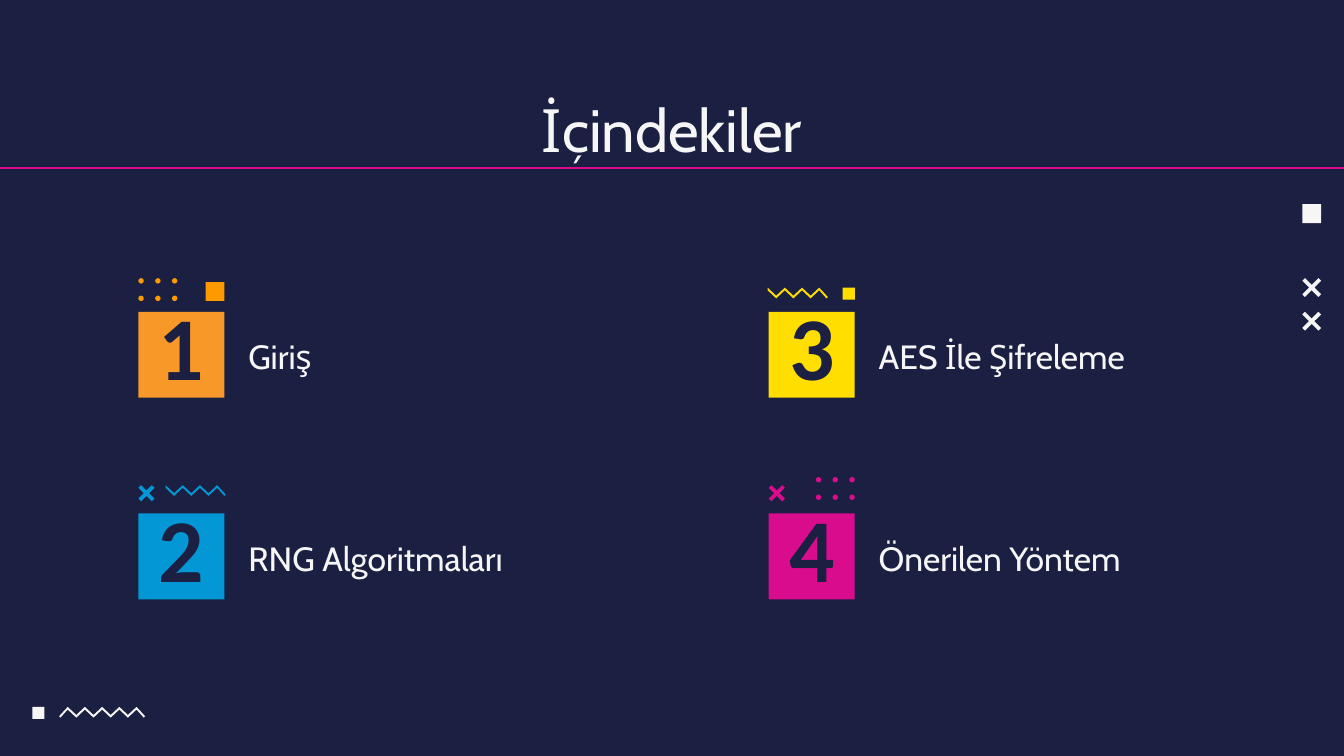
"""Build the contents slide with four numbered topics."""
from itertools import product

from lxml import etree
from pptx import Presentation
from pptx import util as u
from pptx.dml.color import RGBColor
from pptx.enum import shapes, text
from pptx.oxml import ns

NAVY = RGBColor(0x1B, 0x1F, 0x42)
WHITE = RGBColor(0xF6, 0xF6, 0xF6)
PINK = RGBColor(0xD8, 0x0C, 0x8C)
YELLOW = RGBColor(0xFF, 0xDE, 0x00)
BLUE = RGBColor(0x03, 0x97, 0xD6)
ORANGE = RGBColor(0xF8, 0x98, 0x29)
AMBER = RGBColor(0xFF, 0x99, 0x00)

TITLE = "İçindekiler"
TOPICS = [
    ("1", "Giriş", ORANGE),
    ("2", "RNG Algoritmaları", BLUE),
    ("3", "AES İle Şifreleme", YELLOW),
    ("4", "Önerilen Yöntem", PINK),
]
COLUMNS = (1.03, 5.72)
ROWS = (2.32, 3.82)
TILE = 0.64
LABEL_OFFSET = (0.72, 0.14)
LABEL_SIZE = (2.53, 0.41)

SQUARES = [
    (9.69, 1.52, 0.14, WHITE),
    (0.24, 5.26, 0.09, WHITE),
    (6.27, 2.14, 0.09, YELLOW),
    (1.53, 2.1, 0.14, AMBER),
]
CROSSES = [
    (9.69, 2.07, 0.14, WHITE),
    (9.69, 2.32, 0.14, WHITE),
    (5.72, 3.61, 0.12, PINK),
    (1.03, 3.61, 0.12, BLUE),
]
ZIGZAGS = [
    (0.44, 5.26, 0, WHITE),
    (5.52, 2.14, 3, YELLOW),
    (1.04, 3.61, 3, BLUE),
]
DOT_GRIDS = [(1.03, 2.07, AMBER), (6.07, 3.55, PINK)]

TITLE_FONT = {"name": "Cabin", "size": u.Pt(32), "bold": False}
LABEL_FONT = {"name": "Cabin", "size": u.Pt(18), "bold": False}
NUMBER_FONT = {"name": "Calibri", "size": u.Pt(48), "bold": True}
CENTRED = {"alignment": text.PP_ALIGN.CENTER}
LABEL_PARA = {"alignment": text.PP_ALIGN.LEFT, "line_spacing": 0.8, "space_after": u.Pt(16)}
NUMBER_PARA = {**CENTRED, "line_spacing": 0.8}


def paint(shape, color):
    shape.shadow.inherit = False
    shape.fill.solid()
    shape.fill.fore_color.rgb = color
    shape.line.fill.background()
    return shape


def add_preset(page, kind, left, top, size, color):
    frame = [u.Inches(value) for value in (left, top, size, size)]
    return paint(page.shapes.add_shape(kind, *frame), color)


def add_outline(page, left, top, points, color):
    corners = [(u.Inches(left + x), u.Inches(top + y)) for x, y in points]
    builder = page.shapes.build_freeform(*corners[0], scale=1.0)
    builder.add_line_segments(corners[1:], close=True)
    return paint(builder.convert_to_shape(), color)


def add_cross(page, left, top, size, color, arm=0.02):
    middle = size / 2
    points = [
        (arm, 0), (middle, middle - arm), (size - arm, 0), (size, arm),
        (middle + arm, middle), (size, size - arm), (size - arm, size),
        (middle, middle + arm), (arm, size), (0, size - arm),
        (middle - arm, middle), (0, arm),
    ]
    return add_outline(page, left, top, points, color)


def add_zigzag(page, left, top, first, color):
    last = 10
    step = 0.64 / last
    inner = range(max(first, 1), last)
    upper = [(i * step, 0 if i % 2 else 0.06) for i in inner]
    lower = [(i * step, 0.02 if i % 2 else 0.08) for i in reversed(inner)]
    right_end = [(last * step, 0.07), (last * step - 0.01, 0.08)]
    left_end = [] if first else [(0.01, 0.08), (0, 0.07)]
    return add_outline(page, left, top, upper + right_end + lower + left_end, color)


def write(box, words, font, para_format, color, anchor):
    frame = box.text_frame
    frame.word_wrap = True
    frame.vertical_anchor = anchor
    for side in ("left", "top", "right", "bottom"):
        setattr(frame, f"margin_{side}", u.Inches(0.1))
    para = frame.paragraphs[0]
    for name, value in para_format.items():
        setattr(para, name, value)
    span = para.add_run()
    span.text = words
    for name, value in font.items():
        setattr(span.font, name, value)
    span.font.color.rgb = color


def add_label(page, frame, words, font, para_format):
    box = page.shapes.add_textbox(*[u.Inches(value) for value in frame])
    write(box, words, font, para_format, WHITE, text.MSO_ANCHOR.TOP)


def main():
    deck = Presentation()
    deck.slide_width = u.Inches(10)
    deck.slide_height = deck.slide_width * 9 // 16
    page = deck.slides.add_slide(deck.slide_layouts[6])
    page.background.fill.solid()
    page.background.fill.fore_color.rgb = NAVY

    rule = page.shapes.add_connector(
        shapes.MSO_CONNECTOR.STRAIGHT, 0, u.Inches(1.25), deck.slide_width, u.Inches(1.25)
    )
    rule.line.color.rgb = PINK
    rule.line.width = u.Pt(1.5)
    etree.SubElement(rule.element.spPr, ns.qn("a:effectLst"))

    add_label(page, (0.78, 0.59, 8.44, 0.74), TITLE, TITLE_FONT, CENTRED)
    for (number, topic, color), (left, top) in zip(TOPICS, product(COLUMNS, ROWS)):
        tile = add_preset(page, shapes.MSO_SHAPE.RECTANGLE, left, top, TILE, color)
        write(tile, number, NUMBER_FONT, NUMBER_PARA, NAVY, text.MSO_ANCHOR.MIDDLE)
        frame = (left + LABEL_OFFSET[0], top + LABEL_OFFSET[1], *LABEL_SIZE)
        add_label(page, frame, topic, LABEL_FONT, LABEL_PARA)

    for square in SQUARES:
        add_preset(page, shapes.MSO_SHAPE.RECTANGLE, *square)
    for cross in CROSSES:
        add_cross(page, *cross)
    for zigzag in ZIGZAGS:
        add_zigzag(page, *zigzag)
    for left, top, color in DOT_GRIDS:
        for column, row in product(range(3), range(2)):
            x, y = left + column * 0.125, top + row * 0.13
            add_preset(page, shapes.MSO_SHAPE.OVAL, x, y, 0.04, color)

    deck.save("out.pptx")


if __name__ == "__main__":
    main()
